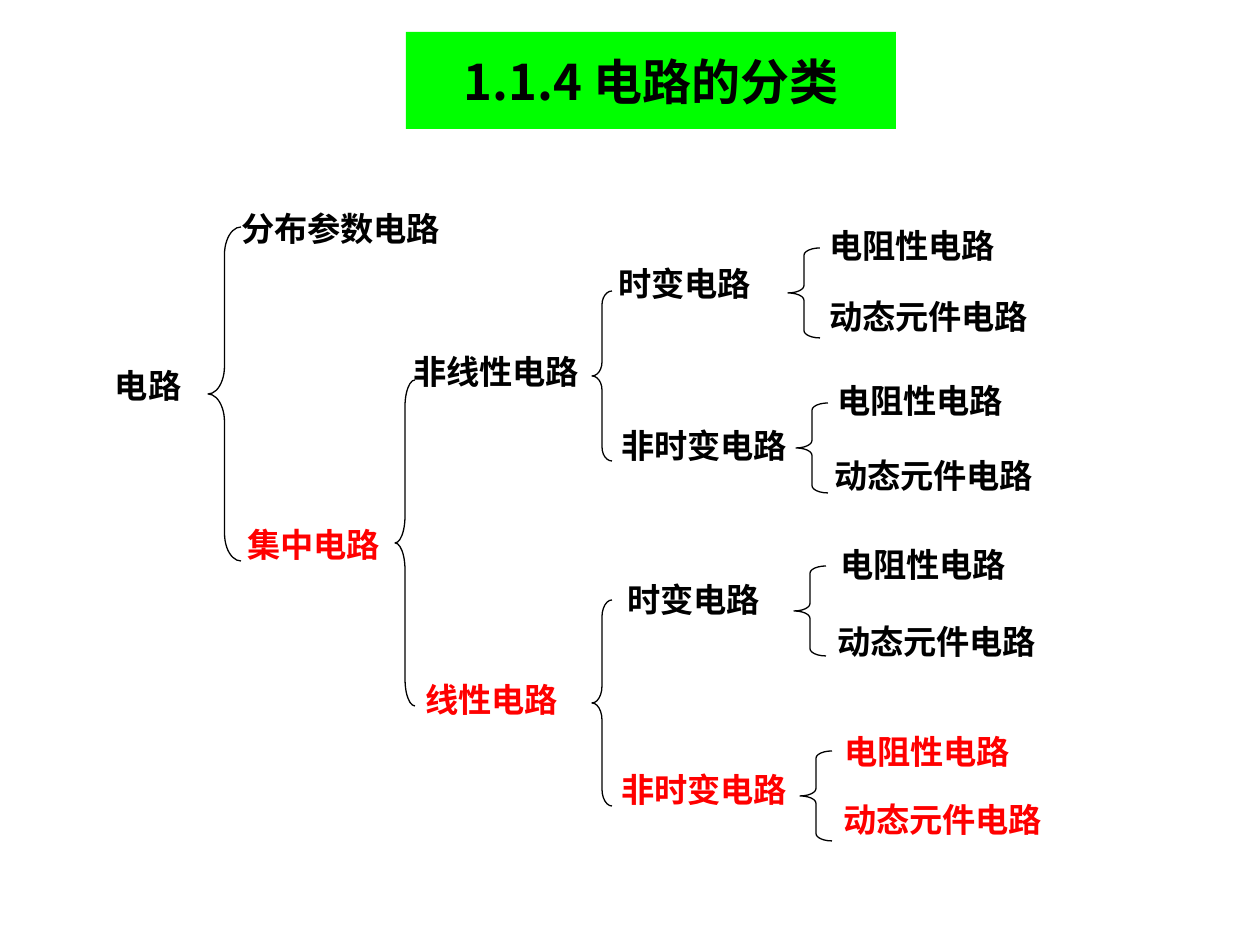
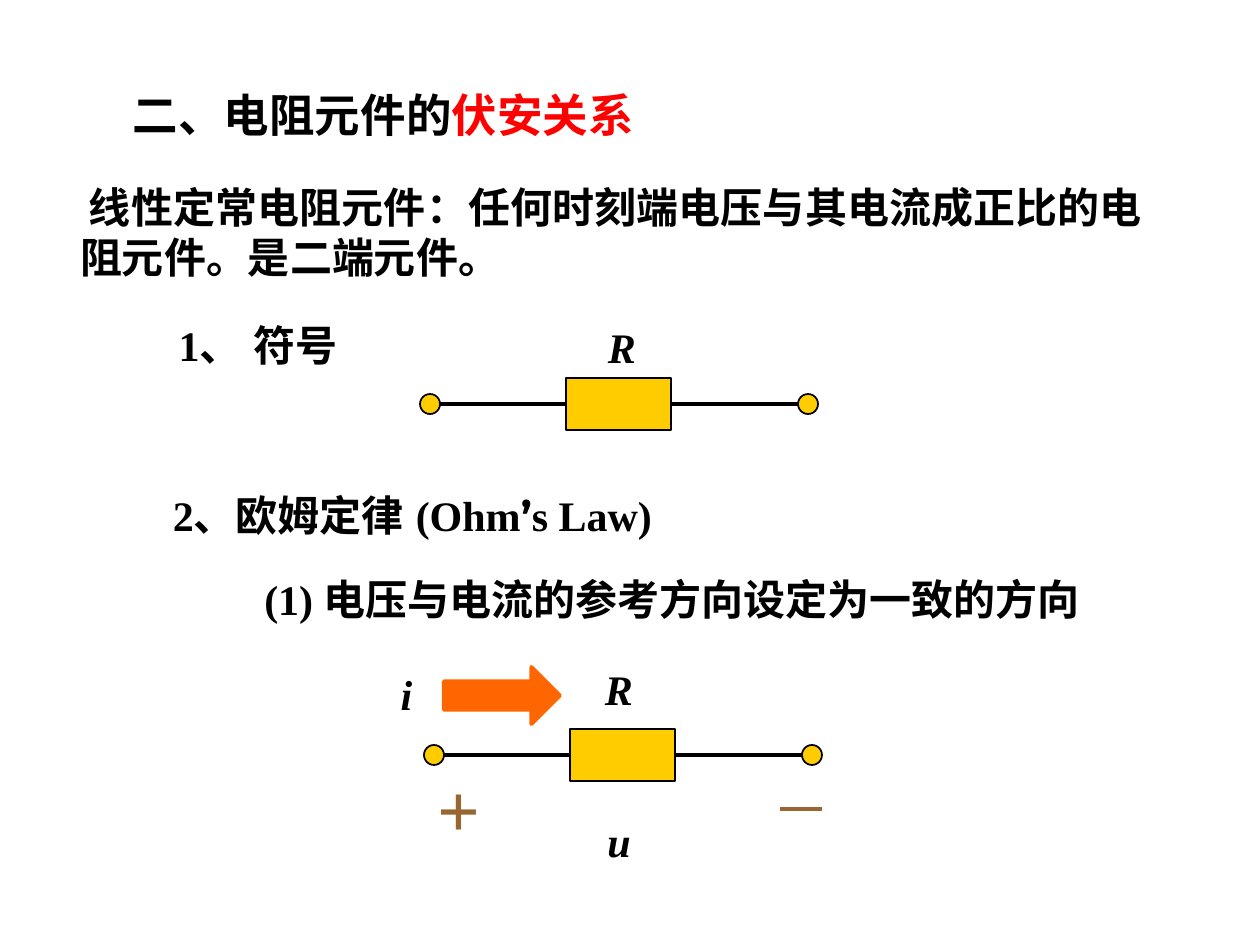
from lxml.etree import SubElement
from pptx import Presentation
from pptx.dml.color import RGBColor
from pptx.enum.shapes import MSO_CONNECTOR, MSO_SHAPE
from pptx.enum.text import MSO_ANCHOR, PP_ALIGN
from pptx.oxml.ns import qn
from pptx.util import Emu, Pt

BLACK, RED, GREEN = "000000", "FF0000", "00FF00"
YELLOW, ORANGE, BROWN = "FFCC00", "FF6600", "996633"
SERIF, SANS, EAST_ASIAN = "Times New Roman", "Noto Sans CJK SC", "Montserrat"
RESISTIVE, DYNAMIC = "电阻性电路", "动态元件电路"


def px(n):
    """Turn px into EMU."""
    return Emu(round(n * 914400 / 126))


def rgb(color):
    """Turn a hex string into a colour."""
    return RGBColor.from_string(color)


def style(font, size, color=BLACK, name=SERIF, italic=None):
    """Set a bold font for Latin and East Asian text."""
    font.size, font.bold, font.italic = Pt(size), True, italic
    font.color.rgb = rgb(color)
    font.name = name
    SubElement(font._rPr, qn("a:ea")).set("typeface", EAST_ASIAN)


def frame(sp, anchor=MSO_ANCHOR.MIDDLE, inset=(13, 6)):
    """Prepare the text frame of a shape and return its first paragraph."""
    tf = sp.text_frame
    tf.word_wrap, tf.vertical_anchor = True, anchor
    tf.margin_left = tf.margin_right = px(inset[0])
    tf.margin_top = tf.margin_bottom = px(inset[1])
    return tf.paragraphs[0]


def textbox(s, box, anchor=MSO_ANCHOR.MIDDLE, inset=(13, 6)):
    """Add a text box and return its first paragraph."""
    return frame(s.shapes.add_textbox(*map(px, box)), anchor, inset)


def text(s, box, words, size=24, color=BLACK, italic=None, align=PP_ALIGN.CENTER):
    """Add a text box in one font."""
    p = textbox(s, box)
    p.text, p.alignment = words, align
    style(p.font, size, color, italic=italic)
    return p


def shape(s, kind, box, fill=None, line=None, width=1.0):
    """Add a flat preset shape."""
    sp = s.shapes.add_shape(kind, *map(px, box))
    sp.shadow.inherit = False
    if fill:
        sp.fill.solid()
        sp.fill.fore_color.rgb = rgb(fill)
    else:
        sp.fill.background()
    if line:
        sp.line.color.rgb, sp.line.width = rgb(line), Pt(width)
    else:
        sp.line.fill.background()
    return sp


def wire(s, x1, y1, x2, y2, color=BLACK):
    """Add a straight line."""
    c = s.shapes.add_connector(MSO_CONNECTOR.STRAIGHT, *map(px, (x1, y1, x2, y2)))
    c.line.color.rgb, c.line.width = rgb(color), Pt(2.25)
    SubElement(c._element.spPr, qn("a:effectLst"))
    return c


def label(s, x, y, words, color=BLACK, width=299, anchor=MSO_ANCHOR.TOP):
    """Add a label of the circuit tree."""
    p = textbox(s, (x, y, width, 66), anchor, (10, 5))
    p.text, p.alignment = words, PP_ALIGN.JUSTIFY
    style(p.font, 19, color)


def brace(s, box, bend):
    """Add a left brace with the given bend."""
    sp = shape(s, MSO_SHAPE.LEFT_BRACE, box, line=BLACK, width=0.75)
    sp.adjustments[0] = bend


def leaf_pair(s, x, y, upper, lower, color=BLACK):
    """Add a brace with its resistive and dynamic leaves at offsets from it."""
    brace(s, (x, y, 32, 90), 0.23)
    for (dx, dy), words in ((upper, RESISTIVE), (lower, DYNAMIC)):
        label(s, x + dx, y + dy, words, color)


def title_band(s, box):
    """Add the green title band."""
    p = frame(shape(s, MSO_SHAPE.RECTANGLE, box, GREEN))
    p.alignment = PP_ALIGN.CENTER
    for words, name in (("1.1.4 ", SANS), ("电路的分类", EAST_ASIAN)):
        r = p.add_run()
        r.text = words
        style(r.font, 28, name=name)


def classification_slide(prs):
    """Build the tree of circuit types."""
    s = prs.slides.add_slide(prs.slide_layouts[6])
    title_band(s, (406, 32, 490, 97))
    label(s, 105, 360, "电路", width=150)
    label(s, 231, 195, "分布参数电路", anchor=MSO_ANCHOR.MIDDLE)
    for x, y, words, color in (
        (237, 519, "集中电路", RED),
        (403, 346, "非线性电路", BLACK),
        (415, 674, "线性电路", RED),
        (608, 258, "时变电路", BLACK),
        (611, 420, "非时变电路", BLACK),
        (617, 574, "时变电路", BLACK),
        (611, 764, "非时变电路", RED),
    ):
        label(s, x, y, words, color)
    for box, bend in (
        ((208, 227, 33, 334), 0.84),
        ((395, 380, 20, 326), 1.34),
        ((592, 291, 20, 170), 0.7),
        ((592, 600, 20, 206), 0.85),
    ):
        brace(s, box, bend)
    leaf_pair(s, 788, 248, (31, -28), (31, 43))
    leaf_pair(s, 796, 403, (31, -28), (28, 47))
    leaf_pair(s, 794, 566, (36, -27), (33, 50))
    leaf_pair(s, 800, 751, (34, -25), (33, 43), RED)


def resistor(s, x, y, width=398):
    """Add a resistor between two terminals, in a box 52 px high."""
    body_w, body_h, dot = 105, 52, 20
    left, middle = x + (width - body_w) // 2, y + body_h // 2
    body = shape(s, MSO_SHAPE.RECTANGLE, (left, y, body_w, body_h), YELLOW, BLACK)
    for side, start, end, dot_x in (
        (1, left, x + dot, x),
        (3, left + body_w, x + width - dot, x + width - dot),
    ):
        wire(s, start, middle, end, middle).begin_connect(body, side)
        shape(s, MSO_SHAPE.OVAL, (dot_x, middle - dot // 2, dot, dot), YELLOW, BLACK)


def heading(s, box):
    """Add the two-coloured heading."""
    p = textbox(s, box, MSO_ANCHOR.BOTTOM)
    for words, color in (("二、电阻元件的", BLACK), ("伏安关系", RED)):
        r = p.add_run()
        r.text = words
        style(r.font, 26, color, SANS)


def definition(s, box):
    """Add the definition with its first line indented."""
    p = text(s, box, "线性定常电阻元件：任何时刻端电压与其电流成正比的电阻元件。是二端元件。",
             align=PP_ALIGN.JUSTIFY)
    pPr = p._p.get_or_add_pPr()
    pPr.set("marL", str(px(4)))
    pPr.set("indent", str(px(9)))


def ohm_circuit(s, x, y):
    """Add the resistor with its current arrow, polarity and voltage."""
    text(s, (x + 168, y - 71, 52, 62), "R", italic=True)
    shape(s, MSO_SHAPE.RIGHT_ARROW, (x + 20, y - 62, 116, 57), ORANGE, ORANGE, 2.25)
    text(s, (x - 56, y - 67, 77, 63), "i", italic=True)
    text(s, (x + 153, y + 80, 84, 63), "u", italic=True)
    text(s, (x + 1, y + 27, 68, 103), "+", 43, BROWN)
    wire(s, x + 356, y + 80, x + 398, y + 80, BROWN)
    resistor(s, x, y)


def relation_slide(prs):
    """Build the voltage and current relation of a resistor."""
    s = prs.slides.add_slide(prs.slide_layouts[6])
    heading(s, (120, 81, 607, 67))
    definition(s, (63, 174, 1092, 115))
    for box, words in (
        ((96, 314, 324, 62), "1、 符号"),
        ((96, 484, 633, 62), "2、欧姆定律 (Ohm’s Law)"),
        ((189, 568, 966, 62), "(1) 电压与电流的参考方向设定为一致的方向"),
    ):
        text(s, box, words)
    text(s, (595, 316, 52, 62), "R", italic=True)
    resistor(s, 420, 378)
    ohm_circuit(s, 424, 729)


def main():
    """Build and save the presentation."""
    prs = Presentation()
    prs.slide_width, prs.slide_height = px(1260), px(945)
    classification_slide(prs)
    relation_slide(prs)
    prs.save("out.pptx")


if __name__ == "__main__":
    main()
